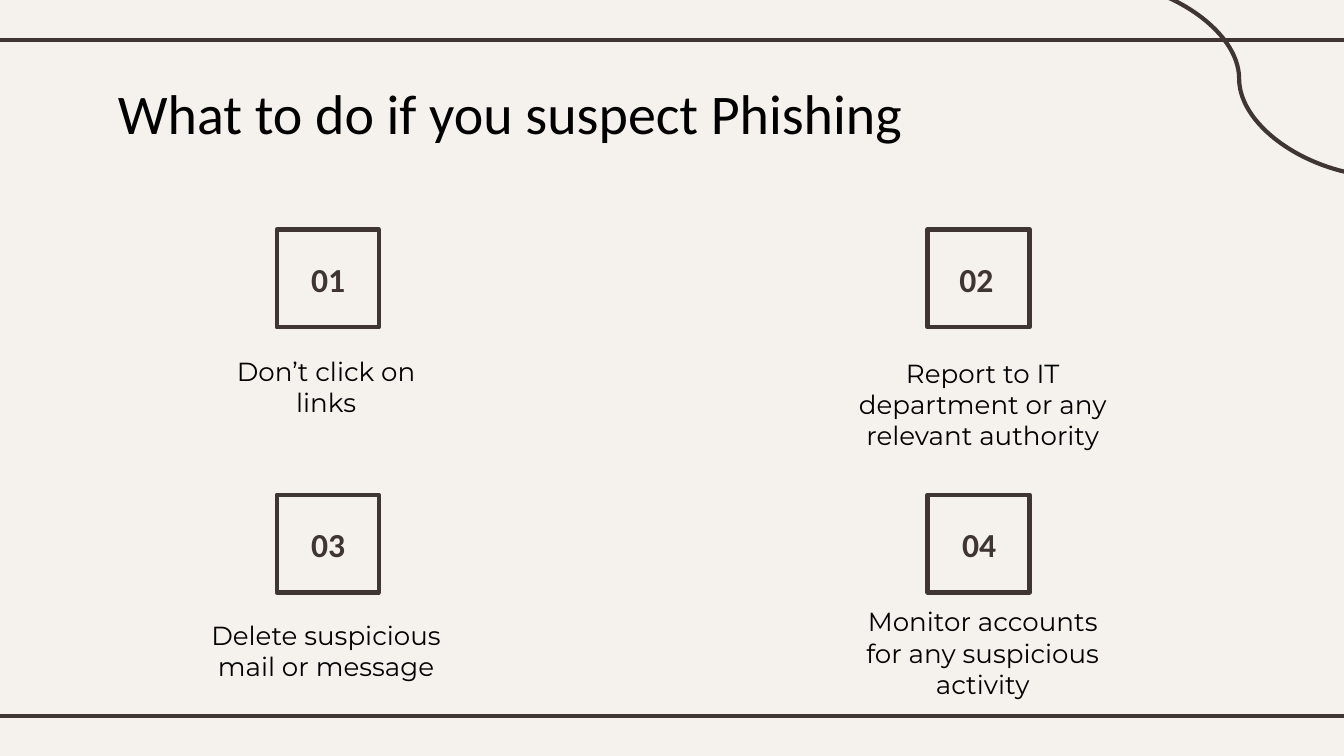
from dataclasses import dataclass

from lxml.etree import SubElement
from pptx import Presentation
from pptx.dml.color import RGBColor
from pptx.enum.shapes import MSO_CONNECTOR as CONN, MSO_SHAPE as SHAPE
from pptx.enum.text import MSO_ANCHOR as ANCHOR, PP_ALIGN as ALIGN
from pptx.oxml.ns import qn
from pptx.util import Cm, Pt


@dataclass(frozen=True)
class Theme:
    """Colours, fonts and sizes of the slide."""
    paper: RGBColor = RGBColor(0xF5, 0xF2, 0xEE)
    ink: RGBColor = RGBColor(0x3F, 0x35, 0x33)
    text: RGBColor = RGBColor(0, 0, 0)
    heading: str = "Calibri"
    body: str = "Montserrat"
    title_size: float = 30
    number_size: float = 18
    caption_size: float = 14
    stroke: float = 2.25


@dataclass(frozen=True)
class Step:
    """A numbered step and the fit of its texts, in centimetres."""
    number: str
    caption: str
    caption_top: float
    caption_width: float = 5.59
    number_shift: float = 0


THEME = Theme()
WIDTH, HEIGHT = 25.4, 14.29
INSET = 0.25
SQUARE_W, SQUARE_H = 1.93, 1.85
COLUMNS = ((5.23, -0.03), (17.53, 0.08))
ROWS = (4.34, 9.35)
STEPS = (
    Step("01", "Don’t click on links", 2.13, caption_width=4.27),
    Step("02", "Report to IT department or any relevant authority", 2.16,
         number_shift=-0.05),
    Step("03", "Delete suspicious mail or message", 2.11),
    Step("04", "Monitor accounts for any suspicious activity", 1.85),
)


def add_text(slide, box, text, font, size, color, align=ALIGN.CENTER,
             anchor=ANCHOR.TOP, bold=False):
    """Place a wrapped text in box, given as left, top, width, height."""
    tf = slide.shapes.add_textbox(*map(Cm, box)).text_frame
    tf.word_wrap = True
    tf.vertical_anchor = anchor
    tf.margin_left = tf.margin_right = Cm(INSET)
    tf.margin_top = tf.margin_bottom = Cm(INSET)
    p = tf.paragraphs[0]
    p.text = text
    p.alignment = align
    r = p.runs[0]
    r.font.name = font
    r.font.size = Pt(size)
    r.font.bold = bold
    r.font.color.rgb = color


def add_stroke(slide, kind, start, end):
    """Draw a flat ink connector between two points."""
    line = slide.shapes.add_connector(kind, *map(Cm, (*start, *end)))
    line.line.color.rgb = THEME.ink
    line.line.width = Pt(THEME.stroke)
    SubElement(line._element.spPr, qn("a:effectLst"))


def add_frame(slide, left, top, width, height):
    """Draw the top and bottom rules and the corner curve."""
    for y in (top + 0.76, top + height - 0.75):
        add_stroke(slide, CONN.STRAIGHT, (left - 0.2, y), (left + width + 0.2, y))
    right = left + width
    add_stroke(slide, CONN.CURVE, (right - 4.75, top - 0.36), (right + 0.79, top + 3.34))


def add_title(slide, left, top, width, height):
    """Place the slide title."""
    add_text(slide, (left, top, width, height), "What to do if you suspect Phishing",
             THEME.heading, THEME.title_size, THEME.text, ALIGN.LEFT)


def add_step(slide, step, left, top, caption_shift):
    """Place a numbered square with its caption below."""
    sp = slide.shapes.add_shape(SHAPE.RECTANGLE, Cm(left), Cm(top), Cm(SQUARE_W), Cm(SQUARE_H))
    sp.shadow.inherit = False
    sp.fill.solid()
    sp.fill.fore_color.rgb = THEME.paper
    sp.line.color.rgb = THEME.ink
    sp.line.width = Pt(THEME.stroke)
    add_text(slide, (left - 0.08 + step.number_shift, top + 0.27, 2.11, 1.32), step.number,
             THEME.heading, THEME.number_size, THEME.ink, anchor=ANCHOR.MIDDLE, bold=True)
    caption_left = left + (SQUARE_W - step.caption_width) / 2 + caption_shift
    add_text(slide, (caption_left, top + step.caption_top, step.caption_width, 1.6),
             step.caption, THEME.body, THEME.caption_size, THEME.text)


def main():
    """Build and save the slide."""
    prs = Presentation()
    prs.slide_width, prs.slide_height = Cm(WIDTH), Cm(HEIGHT)
    slide = prs.slides.add_slide(prs.slide_layouts[6])
    slide.background.fill.solid()
    slide.background.fill.fore_color.rgb = THEME.paper
    add_frame(slide, 0, 0, WIDTH, HEIGHT)
    add_title(slide, 1.98, 1.24, 19.38, 1.6)
    for i, step in enumerate(STEPS):
        row, col = divmod(i, len(COLUMNS))
        left, caption_shift = COLUMNS[col]
        add_step(slide, step, left, ROWS[row], caption_shift)
    prs.save("out.pptx")


if __name__ == "__main__":
    main()
